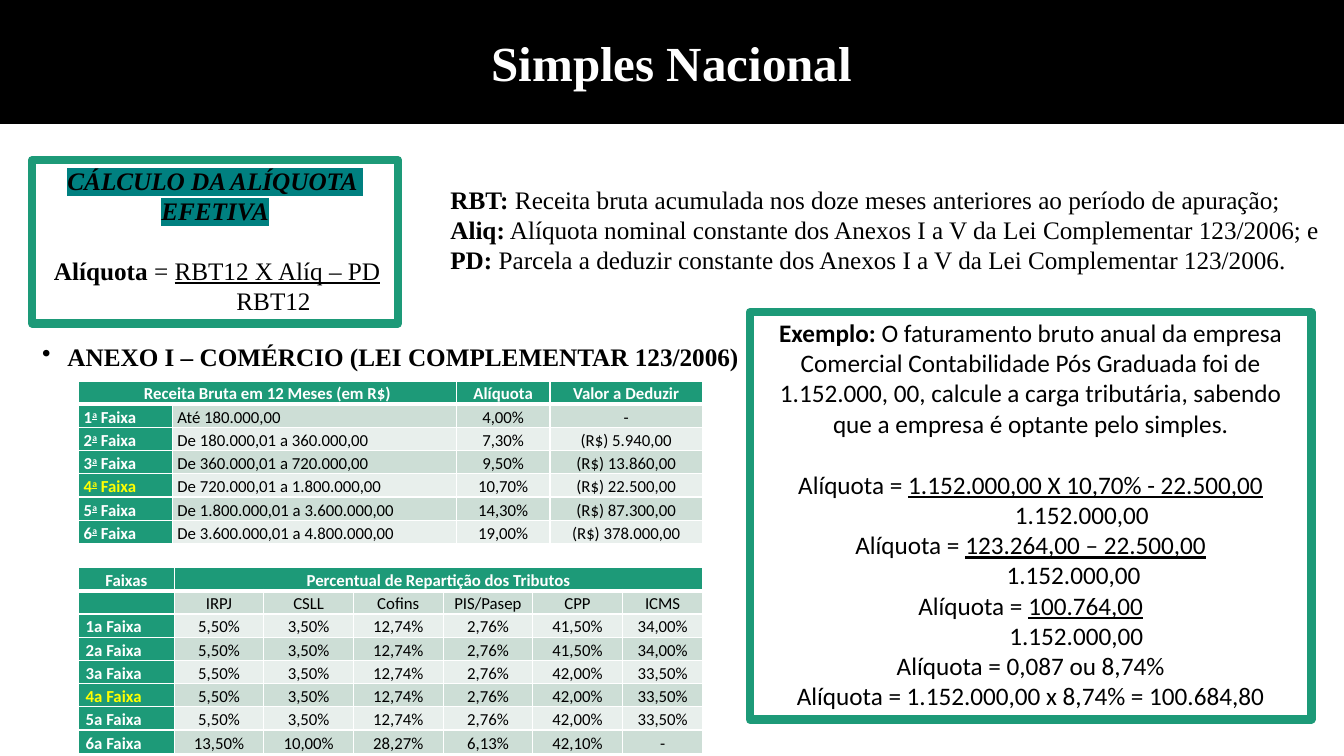
import pptx
import pptx.util
import pptx.dml.color
import pptx.enum.shapes
import pptx.enum.text
import pptx.oxml
import pptx.oxml.ns

Cm = pptx.util.Cm
Pt = pptx.util.Pt
ALIGN = pptx.enum.text.PP_ALIGN
ANCHOR = pptx.enum.text.MSO_ANCHOR
SERIF, SANS = "Times New Roman", "Calibri"
BLACK, WHITE, GREEN, TEAL, YELLOW = "000000", "FFFFFF", "1D9A78", "008080", "FFFF00"
BANDS = ["CDDED6", "E8EFEC"]
WIDE, HIGH = 33.87, 19.05
ROW = 0.58
HOT = 4

TITLE = [([("Simples Nacional", "b")], {})]
TERMS = [
    ([("RBT:", "b"), (" Receita bruta acumulada nos doze meses anteriores ao período de apuração;", "")], {}),
    ([("Aliq:", "b"), (" Alíquota nominal constante dos Anexos I a V da Lei Complementar 123/2006; e", "")], {}),
    ([("PD:", "b"), (" Parcela a deduzir constante dos Anexos I a V da Lei Complementar 123/2006.", "")], {}),
]
ANNEX = [([("ANEXO I – COMÉRCIO (LEI COMPLEMENTAR 123/2006)", "b")], {})]
RULE = [
    ([("CÁLCULO DA ALÍQUOTA ", "bih")], {}),
    ([("EFETIVA", "bih")], {}),
    ([("Alíquota ", "b"), ("= ", ""), ("RBT12 X Alíq – PD", "u")],
     {"align": "j", "left": 0.3, "before": 21}),
    ([("RBT12", "")], {"align": "j", "left": 4.9}),
]
SAMPLE = [
    ([("Exemplo:", "b"), (" O faturamento bruto anual da empresa Comercial Contabilidade Pós Graduada "
      "foi de 1.152.000, 00, calcule a carga tributária, sabendo que a empresa é optante pelo simples.", "")], {}),
    ([("Alíquota = ", ""), ("1.152.000,00 X 10,70% - 22.500,00", "u")], {"before": 22}),
    ([("1.152.000,00", "")], {"left": 2.58}),
    ([("Alíquota = ", ""), ("123.264,00 – 22.500,00", "u")], {}),
    ([("1.152.000,00", "")], {"left": 2.16}),
    ([("Alíquota = ", ""), ("100.764,00", "u")], {}),
    ([("1.152.000,00", "")], {"left": 2.3}),
    ([("Alíquota = 0,087 ou 8,74%", "")], {}),
    ([("Alíquota = 1.152.000,00 x 8,74% = 100.684,80", "")], {}),
]
RATES = [
    ["Receita Bruta em 12 Meses (em R$)", "", "Alíquota", "Valor a Deduzir"],
    ["1", "Até 180.000,00", "4,00%", "-"],
    ["2", "De 180.000,01 a 360.000,00", "7,30%", "(R$) 5.940,00"],
    ["3", "De 360.000,01 a 720.000,00", "9,50%", "(R$) 13.860,00"],
    ["4", "De 720.000,01 a 1.800.000,00", "10,70%", "(R$) 22.500,00"],
    ["5", "De 1.800.000,01 a 3.600.000,00", "14,30%", "(R$) 87.300,00"],
    ["6", "De 3.600.000,01 a 4.800.000,00", "19,00%", "(R$) 378.000,00"],
]
SHARES = [
    ["Faixas", "Percentual de Repartição dos Tributos", "", "", "", "", ""],
    ["", "IRPJ", "CSLL", "Cofins", "PIS/Pasep", "CPP", "ICMS"],
    ["1a Faixa", "5,50%", "3,50%", "12,74%", "2,76%", "41,50%", "34,00%"],
    ["2a Faixa", "5,50%", "3,50%", "12,74%", "2,76%", "41,50%", "34,00%"],
    ["3a Faixa", "5,50%", "3,50%", "12,74%", "2,76%", "42,00%", "33,50%"],
    ["4a Faixa", "5,50%", "3,50%", "12,74%", "2,76%", "42,00%", "33,50%"],
    ["5a Faixa", "5,50%", "3,50%", "12,74%", "2,76%", "42,00%", "33,50%"],
    ["6a Faixa", "13,50%", "10,00%", "28,27%", "6,13%", "42,10%", "-"],
]


def paint(form, tone):
    if hasattr(form, "solid"):
        form.solid()
        form = form.fore_color
    form.rgb = pptx.dml.color.RGBColor.from_string(tone)


def node(xml):
    return pptx.oxml.parse_xml(xml.replace(">", f" {pptx.oxml.ns.nsdecls('a')}>", 1))


def text(frame, paras, font=SERIF, size=18, tone=BLACK, align="l", left=0, first=0,
         space=None, after=0, bullet=None):
    sides = {"l": ALIGN.LEFT, "c": ALIGN.CENTER, "j": ALIGN.JUSTIFY}
    frame.word_wrap = True
    for i, (runs, opts) in enumerate(paras):
        para = frame.paragraphs[0] if i == 0 else frame.add_paragraph()
        para.alignment = sides[opts.get("align", align)]
        if "before" in opts:
            para.space_before = Pt(opts["before"])
        if space:
            para.line_spacing = space
        if after:
            para.space_after = Pt(after)
        prop = para._p.get_or_add_pPr()
        prop.set("marL", str(Cm(opts.get("left", left))))
        prop.set("indent", str(Cm(first)))
        if bullet:
            prop.append(node(f'<a:buChar char="{bullet}"></a:buChar>'))
        if not runs:
            para._p.get_or_add_endParaRPr().set("sz", str(size * 100))
        for words, marks in runs:
            run = para.add_run()
            run.text = words
            face = run.font
            face.size = Pt(size)
            face.bold, face.italic, face.underline = ("b" in marks, "i" in marks, "u" in marks)
            paint(face.fill, tone)
            if "h" in marks:
                face._element.append(node(f'<a:highlight><a:srgbClr val="{TEAL}"/></a:highlight>'))
            if "^" in marks:
                face._element.set("baseline", "30000")
            face.name = font


def box(slide, area, line, width, fill=None, anchor=ANCHOR.TOP):
    shape = slide.shapes.add_shape(pptx.enum.shapes.MSO_SHAPE.RECTANGLE, *map(Cm, area))
    shape.shadow.inherit = False
    if fill:
        paint(shape.fill, fill)
    else:
        shape.fill.background()
    paint(shape.line.fill, line)
    shape.line.width = Pt(width)
    shape.text_frame.vertical_anchor = anchor
    return shape.text_frame


def label(slide, area):
    return slide.shapes.add_textbox(*map(Cm, area)).text_frame


def edge(cell, head):
    prop = cell._tc.get_or_add_tcPr()
    for side in "LRTB":
        width = Pt(3 if head and side == "B" else 1)
        prop.append(node(f'<a:ln{side} w="{width}"><a:solidFill><a:srgbClr val="{WHITE}"/>'
                         f'</a:solidFill></a:ln{side}>'))


def grid(slide, left, top, cols, rows, span, inset, hot, anchor, lefts):
    table = slide.shapes.add_table(len(rows), len(cols), Cm(left), Cm(top),
                                   Cm(sum(cols)), Cm(ROW * len(rows))).table
    for col, width in zip(table.columns, cols):
        col.width = Cm(width)
    for r, row in enumerate(rows):
        table.rows[r].height = Cm(ROW)
        for c, words in enumerate(row):
            cell = table.cell(r, c)
            head = r == 0
            dark = head or c == 0
            edge(cell, head)
            paint(cell.fill, GREEN if dark else BANDS[(r - 1) % 2])
            cell.margin_left = cell.margin_right = Cm(inset)
            cell.margin_top = cell.margin_bottom = 0
            cell.vertical_anchor = anchor
            runs = [(words, "b" if dark else "")] if words else []
            if words.isdigit():
                runs = [(words, "b"), ("a", "bu^"), (" Faixa", "b")]
            tone = BLACK if not dark else YELLOW if r == hot and c == 0 else WHITE
            text(cell.text_frame, [(runs, {})], font=SANS, size=12, tone=tone, space=1.15,
                 after=10, align="l" if c in lefts and not head else "c")
    table.cell(0, span[0]).merge(table.cell(0, span[1]))


def main():
    deck = pptx.Presentation()
    deck.slide_width, deck.slide_height = Cm(WIDE), Cm(HIGH)
    slide = deck.slides.add_slide(deck.slide_layouts[6])
    text(box(slide, (0, 0, WIDE, 3.12), BLACK, 1, BLACK, ANCHOR.MIDDLE), TITLE,
         size=35, tone=WHITE, align="c")
    text(label(slide, (9.86, 4.52, 23.98, 3.33)), TERMS, align="j", first=1.24)
    text(label(slide, (0.81, 8.56, 29.21, 2.24)), ANNEX, left=0.64, first=-0.64,
         space=0.9, bullet="•")
    grid(slide, 1.98, 9.6, [2.36, 7.16, 2.36, 3.84], RATES, (0, 1), 0.13, HOT,
         ANCHOR.MIDDLE, (0, 1))
    grid(slide, 1.98, 14.3, [2.41] + [2.26] * 5 + [2.03], SHARES, (1, 6), 0.18, HOT + 1,
         ANCHOR.TOP, (0,))
    text(box(slide, (0.81, 4.04, 9.22, 4.11), GREEN, 6), RULE, align="c")
    text(box(slide, (18.9, 7.87, 14.15, 10.26), GREEN, 6), SAMPLE, font=SANS, align="c")
    deck.save("out.pptx")


if __name__ == "__main__":
    main()
